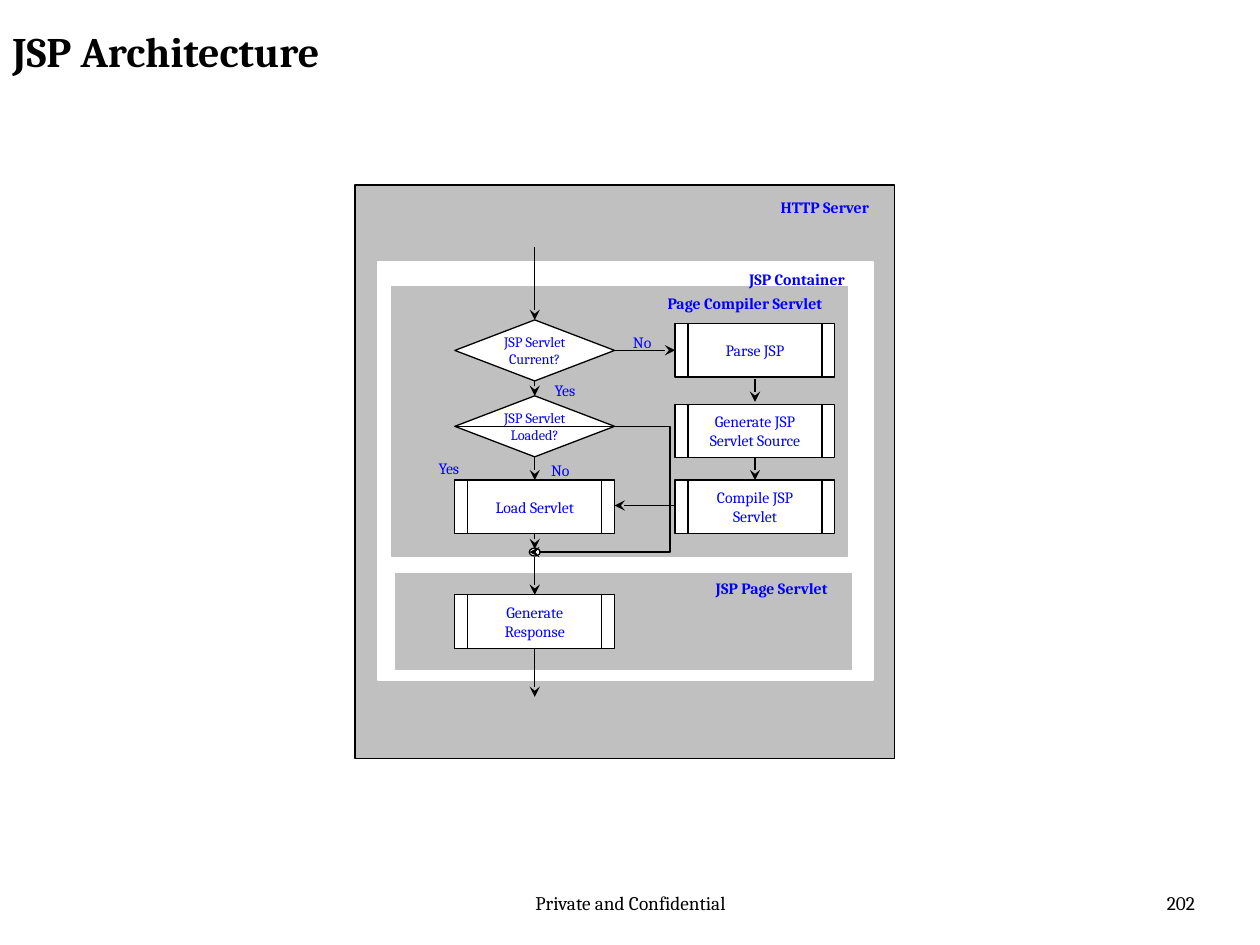
"""Build the JSP Architecture flowchart slide."""
from dataclasses import dataclass

import pptx
import pptx.dml.color
import pptx.enum.shapes
import pptx.enum.text
import pptx.oxml.ns
import pptx.util
from lxml import etree

Cm, Pt = pptx.util.Cm, pptx.util.Pt
SHAPE = pptx.enum.shapes.MSO_SHAPE
CONNECTOR = pptx.enum.shapes.MSO_CONNECTOR
ALIGN = pptx.enum.text.PP_ALIGN
ANCHOR = pptx.enum.text.MSO_ANCHOR

FONT = "Cambria"
BLACK, WHITE, GRAY, BLUE = "000000", "FFFFFF", "C0C0C0", "0000FF"
BOX_W, BOX_H, DIAMOND_H, BAR = 3.22, 1.08, 1.23, 0.26
LEFT, RIGHT = 9.17, 13.61
LEFT_MID, RIGHT_MID = LEFT + BOX_W / 2, RIGHT + BOX_W / 2
LEFT_END = LEFT + BOX_W


@dataclass
class Panel:
    x: float
    y: float
    w: float
    h: float
    fill: str
    line: str


@dataclass
class Step:
    text: str
    x: float
    y: float


@dataclass
class Label:
    text: str
    x: float
    y: float
    w: float
    h: float = 0.56
    size: float = 9
    bold: bool = False
    color: str = BLUE
    align: ALIGN = ALIGN.CENTER
    inset: tuple = (0.18, 0.1)


@dataclass
class Line:
    x1: float
    y1: float
    x2: float
    y2: float


PANELS = [
    Panel(7.16, 3.73, 10.87, 11.56, GRAY, BLACK),
    Panel(7.62, 5.28, 9.98, 8.43, WHITE, WHITE),
    Panel(7.9, 5.77, 9.19, 5.44, GRAY, GRAY),
    Panel(7.98, 11.56, 9.19, 1.93, GRAY, GRAY),
]
PROCESSES = [
    Step("Load Servlet", LEFT, 9.68),
    Step("Compile JSP\nServlet", RIGHT, 9.68),
    Step("Generate JSP\nServlet Source", RIGHT, 8.15),
    Step("Parse JSP", RIGHT, 6.52),
    Step("Generate\nResponse", LEFT, 11.99),
]
DECISIONS = [
    Step("JSP Servlet\nCurrent?", LEFT, 6.45),
    Step("JSP Servlet\nLoaded?", LEFT, 7.98),
]
ARROWS = [
    *(Line(RIGHT_MID, a, RIGHT_MID, b) for a, b in [(7.65, 8.1), (9.22, 9.68)]),
    *(Line(LEFT_MID, a, LEFT_MID, b) for a, b in [
        (4.98, 6.45), (7.68, 7.98), (9.21, 9.68), (10.76, 11.07),
        (11.23, 11.99), (13.07, 14.05)]),
    Line(LEFT_END, 7.06, RIGHT, 7.06),
    Line(RIGHT, 10.19, LEFT_END, 10.19),
]
LABELS = [
    Label("Yes", 10.49, 7.57, 1.8),
    Label("No", 12.27, 6.6, 1.35),
    Label("No", 10.62, 9.19, 1.35),
    Label("Yes", 8.15, 9.14, 1.8),
    Label("HTTP Server", 15.01, 3.89, 3.23, bold=True),
    Label("JSP Container", 14.45, 5.33, 3.23, bold=True),
    Label("Page Compiler Servlet", 12.4, 5.82, 5.23, bold=True),
    Label("JSP Page Servlet", 13.74, 11.56, 3.63, bold=True),
    Label("Private and Confidential", 8.69, 17.83, 8.05, 1.02, 11,
          color=BLACK, inset=(0.25, 0.13)),
    Label("202", 18.42, 17.83, 5.92, 1.02, 11,
          color=BLACK, align=ALIGN.RIGHT, inset=(0.25, 0.13)),
    Label("JSP Architecture", 0, 0.38, 23.6, 1.75, 24, True,
          BLACK, ALIGN.LEFT, (0.25, 0.13)),
]


def rgb(value: str) -> pptx.dml.color.RGBColor:
    return pptx.dml.color.RGBColor.from_string(value)


def write(tf, text: str, size: float, color: str, bold: bool = False,
          align: ALIGN = ALIGN.CENTER, inset: tuple = (0.18, 0.1)) -> None:
    tf.word_wrap = True
    tf.margin_left = tf.margin_right = Cm(inset[0])
    tf.margin_top = tf.margin_bottom = Cm(inset[1])
    tf.text = text
    for p in tf.paragraphs:
        p.alignment = align
        p.font.name, p.font.size, p.font.bold = FONT, Pt(size), bold
        p.font.color.rgb = rgb(color)


def add_shape(s, kind: SHAPE, x: float, y: float, w: float, h: float,
              fill: str = WHITE, line: str = BLACK):
    sp = s.shapes.add_shape(kind, Cm(x), Cm(y), Cm(w), Cm(h))
    sp.shadow.inherit = False
    sp.fill.solid()
    sp.fill.fore_color.rgb = rgb(fill)
    sp.line.color.rgb = rgb(line)
    sp.line.width = Pt(0.75)
    return sp


def add_line(s, line: Line, arrow: bool = True, kind: CONNECTOR = CONNECTOR.STRAIGHT):
    cx = s.shapes.add_connector(kind, Cm(line.x1), Cm(line.y1), Cm(line.x2), Cm(line.y2))
    cx.line.color.rgb = rgb(BLACK)
    cx.line.width = Pt(0.75)
    qn = pptx.oxml.ns.qn
    if arrow:
        etree.SubElement(cx.line._get_or_add_ln(), qn("a:tailEnd"), type="stealth")
    etree.SubElement(cx._element.spPr, qn("a:effectLst"))
    return cx


def add_process(s, step: Step) -> None:
    sp = add_shape(s, SHAPE.RECTANGLE, step.x, step.y, BOX_W, BOX_H)
    sp.text_frame.vertical_anchor = ANCHOR.MIDDLE
    write(sp.text_frame, step.text, 9, BLUE)
    for x in (step.x + BAR, step.x + BOX_W - BAR):
        add_line(s, Line(x, step.y, x, step.y + BOX_H), arrow=False)


def add_decision(s, step: Step) -> None:
    sp = add_shape(s, SHAPE.DIAMOND, step.x, step.y, BOX_W, DIAMOND_H)
    sp.text_frame.vertical_anchor = ANCHOR.MIDDLE
    write(sp.text_frame, step.text, 8.2, BLUE, inset=(0, 0))


def add_bypass(s, line: Line, bend: float) -> None:
    cx = add_line(s, line, kind=CONNECTOR.ELBOW)
    qn = pptx.oxml.ns.qn
    guides = cx._element.spPr.find(qn("a:prstGeom")).get_or_add_avLst()
    etree.SubElement(guides, qn("a:gd"), name="adj1", fmla=f"val {round(bend * 100000)}")


def add_label(s, label: Label) -> None:
    sp = s.shapes.add_textbox(Cm(label.x), Cm(label.y), Cm(label.w), Cm(label.h))
    write(sp.text_frame, label.text, label.size, label.color, label.bold,
          label.align, label.inset)


def main() -> None:
    prs = pptx.Presentation()
    prs.slide_width, prs.slide_height = Cm(25.4), Cm(19.05)
    s = prs.slides.add_slide(prs.slide_layouts[6])
    for panel in PANELS:
        add_shape(s, SHAPE.RECTANGLE, panel.x, panel.y, panel.w, panel.h,
                  panel.fill, panel.line)
    for step in PROCESSES:
        add_process(s, step)
    for step in DECISIONS:
        add_decision(s, step)
    add_shape(s, SHAPE.OVAL, LEFT_MID - 0.11, 11.05, 0.22, 0.16)
    for arrow in ARROWS:
        add_line(s, arrow)
    add_bypass(s, Line(LEFT, 8.6, LEFT_MID - 0.11, 11.13), 2.89)
    for label in LABELS:
        add_label(s, label)
    prs.save("out.pptx")


if __name__ == "__main__":
    main()
